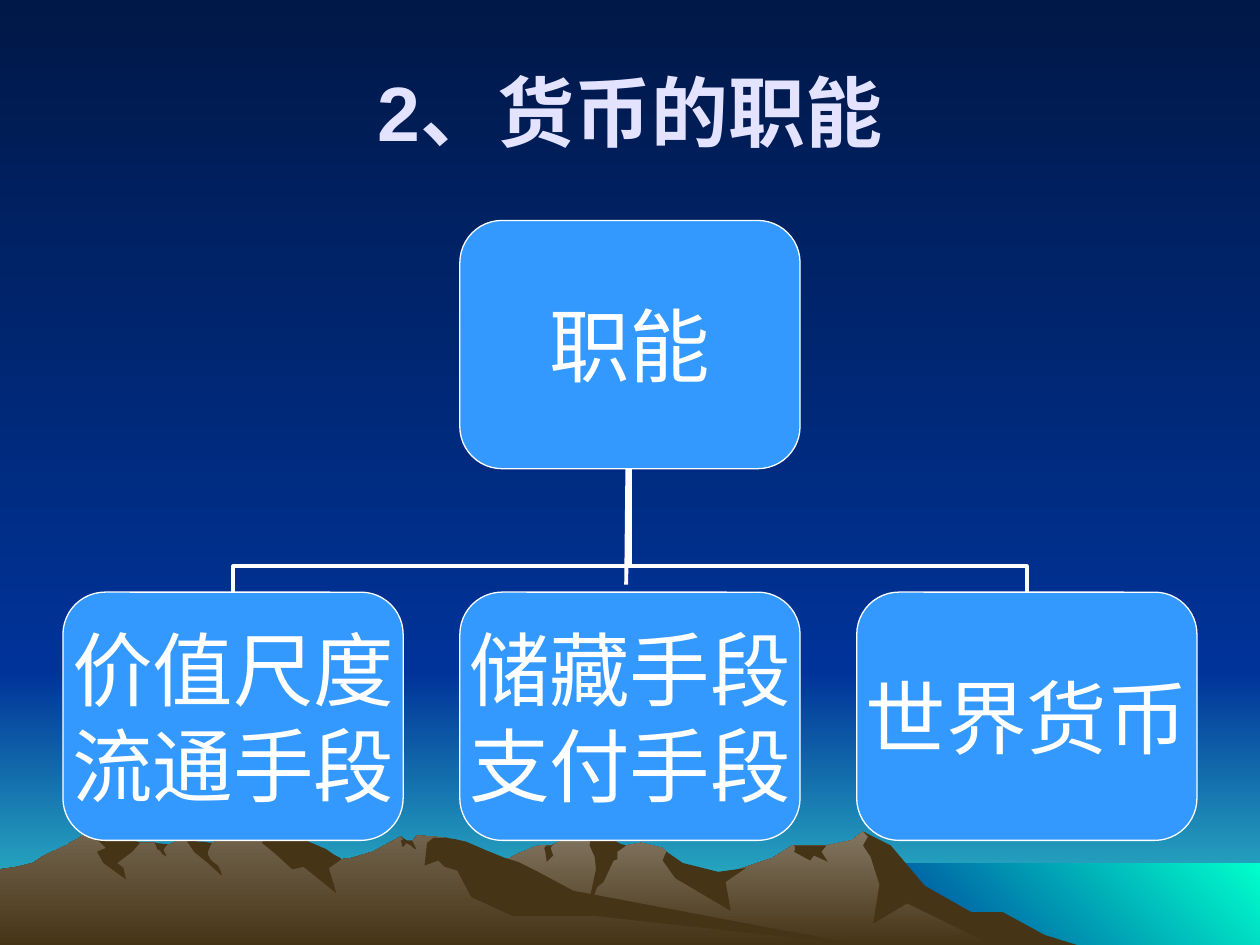
from lxml.etree import SubElement
from pptx import Presentation
from pptx.dml.color import RGBColor
from pptx.enum.shapes import MSO_CONNECTOR, MSO_SHAPE
from pptx.enum.text import MSO_ANCHOR, PP_ALIGN
from pptx.oxml.ns import qn
from pptx.util import Pt

# Landscape outlines, in steps of 0.72 points
GRID = Pt(0.72)
SHORE = [(0, 750), (0, 533), (1000, 533), (1000, 750)]
SKY = [(0, 533), (0, 0), (1000, 0), (1000, 533)]
SEA = [(683, 752), (683, 685), (1000, 685), (1000, 752)]
RIGHT_MOUNTAIN = [
    (802, 740), (778, 727), (764, 723), (723, 698), (702, 671), (685, 660),
    (676, 667), (656, 671), (629, 671), (613, 681), (566, 697), (536, 690),
    (529, 676), (526, 673), (509, 669), (497, 671), (486, 673), (474, 661),
    (471, 658), (465, 658), (450, 664), (448, 665), (444, 668), (438, 671),
    (433, 671), (430, 671), (424, 672), (418, 675), (412, 677), (405, 681),
    (399, 683), (395, 684), (394, 685), (355, 698), (327, 709), (277, 739),
    (258, 751), (821, 751)]
LEFT_MOUNTAIN = [
    (690, 751), (689, 751), (667, 748), (432, 712), (354, 665), (331, 663),
    (327, 668), (323, 668), (318, 664), (296, 676), (279, 681), (271, 682),
    (260, 676), (236, 681), (223, 663), (222, 662), (219, 660), (215, 659),
    (212, 658), (208, 658), (202, 658), (198, 658), (196, 658), (195, 659),
    (194, 660), (191, 662), (189, 662), (186, 663), (183, 664), (180, 665),
    (178, 666), (168, 669), (160, 671), (148, 667), (143, 667), (132, 671),
    (128, 671), (123, 669), (111, 669), (94, 671), (68, 662), (56, 669),
    (55, 669), (53, 671), (50, 672), (46, 674), (35, 679), (26, 685),
    (14, 688), (0, 690), (0, 751), (175, 751), (647, 751)]
RIGHT_SHADOWS = [
    [(796, 724), (771, 724), (734, 703), (707, 671), (685, 660), (689, 664),
     (685, 671), (691, 680), (698, 702), (693, 733), (720, 717), (792, 752),
     (858, 751), (829, 742)],
    [(471, 658), (474, 662), (469, 664), (468, 671), (472, 680), (473, 690),
     (465, 727), (474, 704), (479, 700), (487, 683), (490, 682), (490, 676),
     (497, 671), (493, 670)],
    [(529, 676), (528, 678), (526, 683), (536, 697), (580, 723), (576, 700),
     (592, 689), (570, 692), (542, 685)],
    [(650, 671), (630, 671), (631, 672), (631, 675), (630, 676), (643, 683),
     (646, 679), (657, 684), (652, 676), (656, 671)],
    [(433, 677), (432, 673), (434, 671), (432, 671), (434, 671), (436, 671),
     (438, 671), (439, 670), (437, 673), (439, 679), (434, 684)]]
LEFT_SHADOWS = [
    [(212, 663), (208, 669), (219, 678), (232, 690), (241, 688), (267, 709),
     (261, 689), (271, 682), (270, 681), (266, 679), (259, 674), (252, 671),
     (245, 668), (238, 665), (232, 663), (230, 662), (226, 662), (224, 662),
     (220, 661), (219, 661), (217, 660), (215, 659), (213, 659)],
    [(370, 668), (361, 666), (354, 665), (344, 665), (339, 669), (337, 687),
     (348, 683), (353, 688), (363, 691), (374, 712), (407, 727), (472, 727),
     (690, 751), (683, 750), (455, 707), (427, 692), (411, 684), (401, 681),
     (386, 675)],
    [(318, 667), (319, 667), (320, 666), (319, 665), (318, 664), (323, 667),
     (327, 667), (328, 669), (329, 671), (330, 673), (330, 674), (328, 673),
     (326, 671), (322, 669), (322, 670), (321, 671), (320, 672), (319, 672),
     (319, 670)],
    [(154, 667), (157, 668), (161, 668), (168, 669), (165, 676), (165, 678),
     (166, 680), (167, 682), (169, 684), (173, 687), (175, 691), (176, 694),
     (176, 695), (165, 685), (154, 676), (148, 667)],
    [(133, 670), (130, 674), (130, 675), (131, 677), (132, 679), (132, 680),
     (131, 679), (129, 678), (127, 675), (125, 674), (123, 669)],
    [(109, 668), (111, 669), (105, 676), (93, 685), (98, 689), (100, 698),
     (82, 685), (77, 676), (84, 673), (79, 668), (69, 664), (69, 662),
     (71, 662), (77, 663), (84, 663), (86, 664), (90, 664), (94, 665),
     (104, 666)]]


def color(code):
    return RGBColor.from_string(code)


def paint(fill, colors, angle=90):
    """Fill with one colour, or with a gradient from the first to the second."""
    if len(colors) == 1:
        fill.solid()
        fill.fore_color.rgb = color(colors[0])
        return
    fill.gradient()
    fill.gradient_angle = angle
    for stop, code, position in zip(fill.gradient_stops, colors, (0, 1)):
        stop.color.rgb = color(code)
        stop.position = position


def write(text_frame, text, size, text_color, bold=False, wrap=True):
    text_frame.word_wrap = wrap
    text_frame.vertical_anchor = MSO_ANCHOR.MIDDLE
    text_frame.text = text
    for paragraph in text_frame.paragraphs:
        paragraph.alignment = PP_ALIGN.CENTER
        font = paragraph.font
        font.name, font.size, font.bold = "Arial", Pt(size), bold
        font.color.rgb = color(text_color)


class Deck:
    night, blue, brown = "001847", "003399", "463416"
    box_fill, white, title_color = "3399FF", "FFFFFF", "E3E3FF"
    box_width, box_height = 194.4, 141.84

    def __init__(self):
        self.presentation = Presentation()
        self.presentation.slide_width = Pt(720)
        self.presentation.slide_height = Pt(540)
        self.slide = self.presentation.slides.add_slide(
            self.presentation.slide_layouts[6])
        self.shapes = self.slide.shapes

    def outline(self, points, *colors, angle=90):
        builder = self.shapes.build_freeform(*points[0], scale=GRID)
        builder.add_line_segments(points[1:], close=True)
        shape = builder.convert_to_shape()
        shape.shadow.inherit = False
        shape.line.fill.background()
        paint(shape.fill, colors, angle)

    def title(self, text):
        box = self.shapes.add_textbox(Pt(36), Pt(18), Pt(648), Pt(90))
        write(box.text_frame, text, 44, self.title_color, bold=True)

    def box(self, left, top, text):
        shape = self.shapes.add_shape(
            MSO_SHAPE.ROUNDED_RECTANGLE, Pt(left), Pt(top),
            Pt(self.box_width), Pt(self.box_height))
        shape.adjustments[0] = 0.17
        shape.shadow.inherit = False
        paint(shape.fill, [self.box_fill])
        shape.line.color.rgb = color(self.white)
        shape.line.width = Pt(0.75)
        frame = shape.text_frame
        frame.margin_left = frame.margin_right = 0
        frame.margin_top = frame.margin_bottom = 0
        write(frame, text, 46, self.white, wrap=False)
        return shape

    def line(self, kind, *ends):
        connector = self.shapes.add_connector(kind, *map(Pt, ends))
        connector.line.color.rgb = color(self.white)
        connector.line.width = Pt(2.25)
        SubElement(connector._element.spPr, qn("a:effectLst"))
        return connector

    def elbow(self, child, parent):
        """Join a child's top to its parent's bottom, bending near the child."""
        connector = self.line(MSO_CONNECTOR.ELBOW, 0, 0, 0, 0)
        connector.begin_connect(child, 0)
        connector.end_connect(parent, 2)
        start, end = (shape.left + shape.width // 2 for shape in (child, parent))
        bottom = parent.top + parent.height
        drop, span = child.top - bottom, abs(start - end)
        # The frame is turned so that the first segment runs upwards
        connector.left = (start + end - drop) // 2
        connector.top = (bottom + child.top - span) // 2
        connector.width, connector.height = drop, span
        connector.rotation = 270
        properties = connector._element.spPr
        frame = properties.find(qn("a:xfrm"))
        frame.set("flipH", "0")
        frame.set("flipV", "1" if start > end else "0")
        guides = properties.find(qn("a:prstGeom")).find(qn("a:avLst"))
        SubElement(guides, qn("a:gd"), name="adj1", fmla="val 20900")


def main():
    deck = Deck()

    # Sky, sea and mountains
    paint(deck.slide.background.fill, [deck.blue, deck.night])
    deck.outline(SHORE, "33CCCC", deck.blue)
    deck.outline(SKY, deck.blue, deck.night)
    deck.outline(SEA, "00FFCC", deck.blue, angle=225)
    for mountain, peak, shadows in ((RIGHT_MOUNTAIN, "847864", RIGHT_SHADOWS),
                                    (LEFT_MOUNTAIN, "73654F", LEFT_SHADOWS)):
        deck.outline(mountain, deck.brown, peak)
        for shadow in shadows:
            deck.outline(shadow, deck.brown)

    # Title
    deck.title("2、货币的职能")

    # Function tree; the middle line runs behind the boxes
    deck.line(MSO_CONNECTOR.STRAIGHT, 357.84, 334.08, 358.56, 263.52)
    root = deck.box(262.8, 126, "职能")
    labels = ["价值尺度\n流通手段", "储藏手段\n支付手段", "世界货币"]
    children = [deck.box(36 + 226.8 * column, 338.4, label)
                for column, label in enumerate(labels)]
    for child in (children[2], children[0]):
        deck.elbow(child, root)

    deck.presentation.save("out.pptx")


if __name__ == "__main__":
    main()
